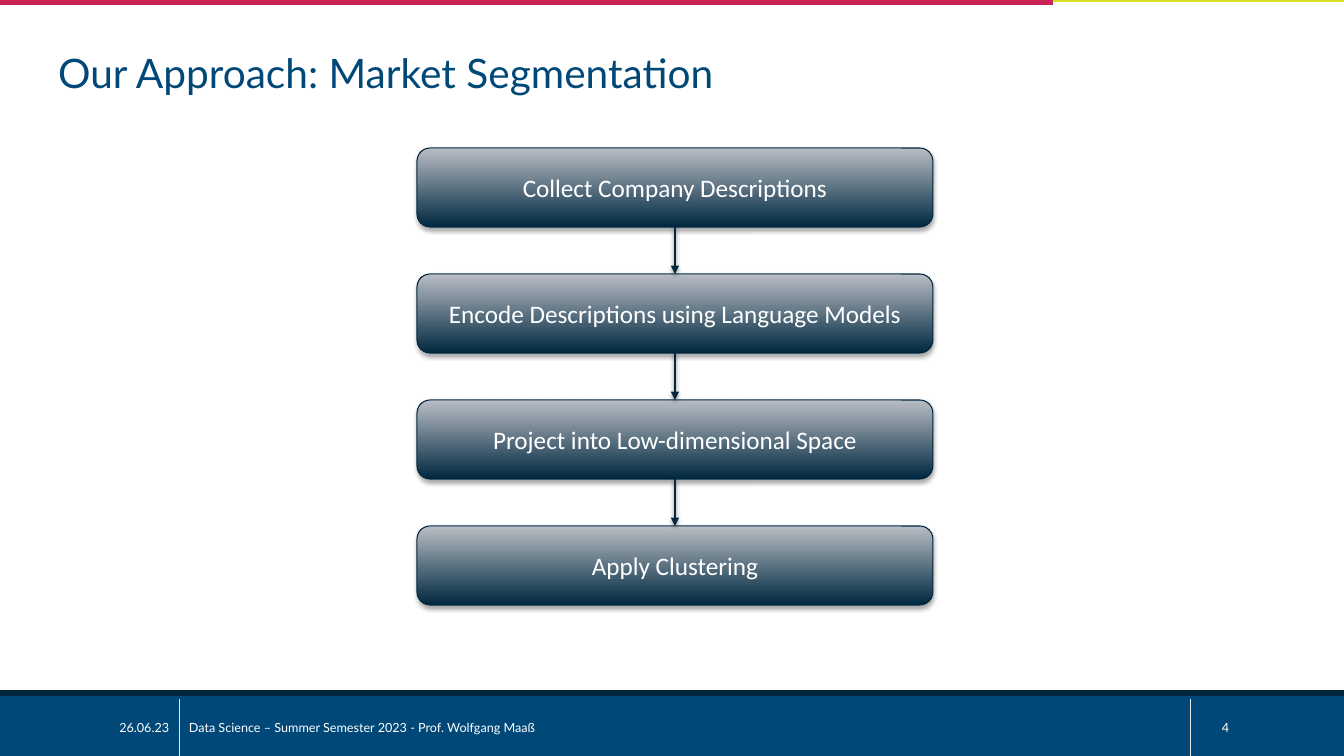
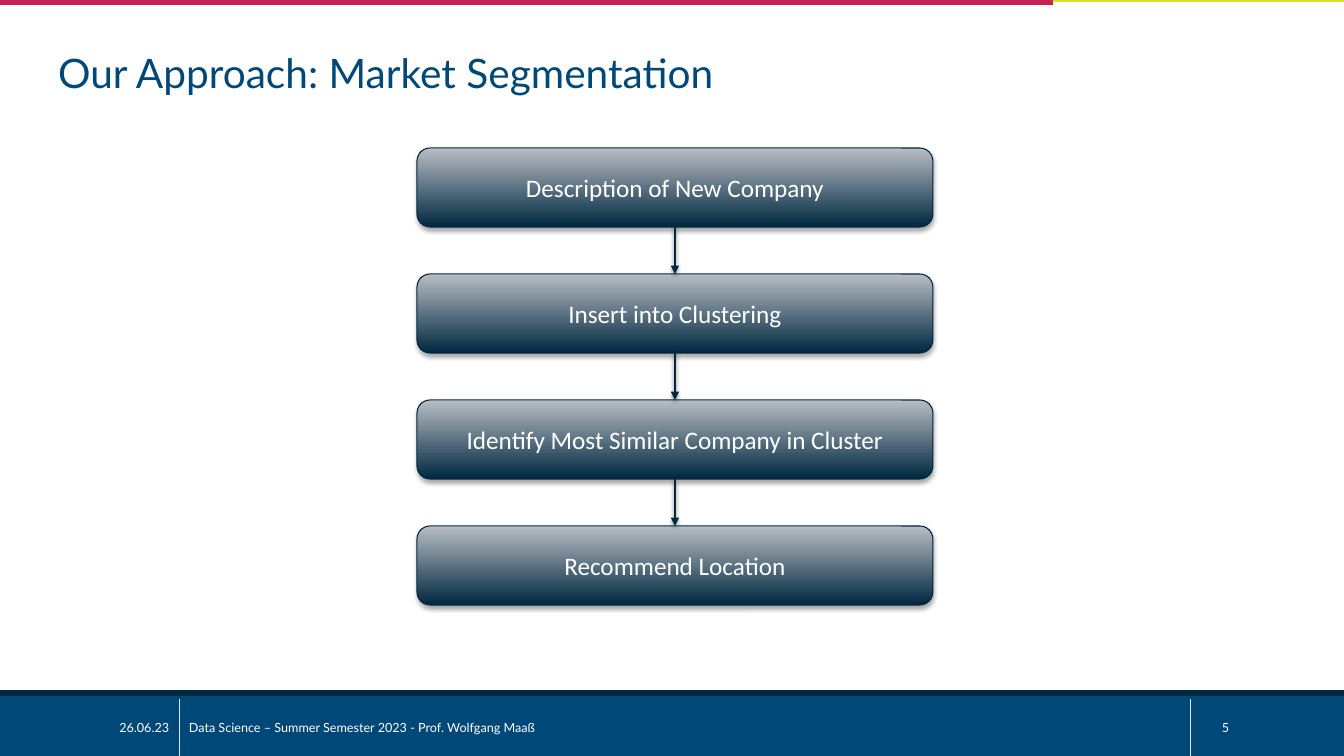
from dataclasses import dataclass

from lxml import etree
from pptx import Presentation
from pptx import util as u
from pptx.dml.color import RGBColor
from pptx.enum import shapes, text
from pptx.oxml import ns

EMU_PER_PX = 914400 / 100.8
SLIDE_W, SLIDE_H = 1344, 756


def px(n):
    return u.Emu(round(n * EMU_PER_PX))


@dataclass(frozen=True)
class Theme:
    # Colours
    blue: str = "004877"
    navy: str = "01283F"
    red: str = "C82254"
    lime: str = "D7DF23"
    rule: str = "E6E6E6"
    white: str = "FFFFFF"
    box_dark: str = "002840"
    box_light: str = "B9BDC4"
    box_line: str = "00273F"
    # Type
    head_font: str = "Lato"
    box_font: str = "Calibri"
    title_pt: int = 29
    box_pt: int = 18
    footer_pt: int = 9


class Deck:
    FOOTER = "Data Science – Summer Semester 2023 - Prof. Wolfgang Maaß"
    DATE = "26.06.23"

    def __init__(self, theme):
        self.theme = theme
        self.prs = Presentation()
        self.prs.slide_width, self.prs.slide_height = px(SLIDE_W), px(SLIDE_H)
        self.slide = None

    def add_slide(self, title, number):
        self.slide = self.prs.slides.add_slide(self.prs.slide_layouts[5])
        self.frame(number)
        self.title(title)

    def frame(self, number):
        t = self.theme
        # Footer and top bands
        self.band(0, 690, SLIDE_W, 66, t.blue)
        self.band(0, 690, SLIDE_W, 6, t.navy)
        self.band(0, 0, 1053, 5, t.red)
        self.band(1053, 0, SLIDE_W - 1053, 2, t.lime)
        # Footer dividers and text
        for x in (179, 1190):
            self.line(x, 699, x, SLIDE_H, t.rule, 0.5)
        self.footer_text(self.DATE, 35, 144, text.PP_ALIGN.RIGHT)
        self.footer_text(self.FOOTER, 179, 991)
        self.footer_text(str(number), 1212, 132)

    def title(self, words):
        t = self.theme
        sp = self.slide.shapes.title
        sp.left, sp.top, sp.width, sp.height = map(px, (48, 43, 995, 76))
        self.set_text(sp, words, t.head_font, t.title_pt, t.blue,
                      anchor=text.MSO_ANCHOR.TOP)

    def set_text(self, sp, words, font, size, color,
                 align=text.PP_ALIGN.LEFT, anchor=text.MSO_ANCHOR.MIDDLE):
        tf = sp.text_frame
        tf.text = words
        tf.word_wrap = True
        tf.auto_size = text.MSO_AUTO_SIZE.NONE
        tf.vertical_anchor = anchor
        p = tf.paragraphs[0]
        p.alignment = align
        f = p.runs[0].font
        f.name, f.size = font, u.Pt(size)
        f.color.rgb = RGBColor.from_string(color)

    def footer_text(self, words, x, w, align=text.PP_ALIGN.LEFT):
        t = self.theme
        sp = self.slide.shapes.add_textbox(px(x), px(708), px(w), px(40))
        self.set_text(sp, words, t.head_font, t.footer_pt, t.white, align)

    def band(self, x, y, w, h, color):
        sp = self.slide.shapes.add_shape(
            shapes.MSO_SHAPE.RECTANGLE, px(x), px(y), px(w), px(h))
        sp.shadow.inherit = False
        sp.fill.solid()
        sp.fill.fore_color.rgb = RGBColor.from_string(color)
        sp.line.fill.background()

    def box(self, words, x, y, w, h):
        t = self.theme
        sp = self.slide.shapes.add_shape(
            shapes.MSO_SHAPE.ROUNDED_RECTANGLE, px(x), px(y), px(w), px(h))
        sp.fill.gradient()
        sp.fill.gradient_angle = 90
        for stop, color in zip(sp.fill.gradient_stops, (t.box_dark, t.box_light)):
            stop.color.rgb = RGBColor.from_string(color)
        sp.line.color.rgb = RGBColor.from_string(t.box_line)
        sp.line.width = u.Pt(0.75)
        self.effects(sp, 35, 1.8)
        self.set_text(sp, words, t.box_font, t.box_pt, t.white, text.PP_ALIGN.CENTER)
        return sp

    def line(self, x1, y1, x2, y2, color, width):
        c = self.slide.shapes.add_connector(
            shapes.MSO_CONNECTOR.STRAIGHT, px(x1), px(y1), px(x2), px(y2))
        c.line.color.rgb = RGBColor.from_string(color)
        c.line.width = u.Pt(width)
        self.effects(c)
        return c

    def arrow(self, upper, lower):
        c = self.line(0, 0, 0, 0, self.theme.navy, 2)
        c.begin_connect(upper, 2)
        c.end_connect(lower, 0)
        ln = c._element.spPr.find(ns.qn("a:ln"))
        etree.SubElement(ln, ns.qn("a:tailEnd"), type="triangle")
        self.effects(c, 38, 1.6)

    def effects(self, sp, opacity=0, distance=0):
        """Replace the style's shadow by none, or by a soft one straight below."""
        sp_pr = sp._element.spPr
        for old in sp_pr.findall(ns.qn("a:effectLst")):
            sp_pr.remove(old)
        effect_list = etree.SubElement(sp_pr, ns.qn("a:effectLst"))
        if opacity:
            shadow = etree.SubElement(
                effect_list, ns.qn("a:outerShdw"), blurRad=str(u.Pt(3.1)),
                dist=str(u.Pt(distance)), dir="5400000", rotWithShape="0")
            color = etree.SubElement(shadow, ns.qn("a:srgbClr"), val="000000")
            etree.SubElement(color, ns.qn("a:alpha"), val=str(opacity * 1000))

    def flow(self, steps, x=417, y=148, w=516, h=79, pitch=126):
        boxes = [self.box(step, x, y + i * pitch, w, h)
                 for i, step in enumerate(steps)]
        for upper, lower in zip(boxes, boxes[1:]):
            self.arrow(upper, lower)


FLOWS = [
    ("Collect Company Descriptions",
     "Encode Descriptions using Language Models",
     "Project into Low-dimensional Space",
     "Apply Clustering"),
    ("Description of New Company",
     "Insert into Clustering",
     "Identify Most Similar Company in Cluster",
     "Recommend Location"),
]


def main():
    deck = Deck(Theme())
    for number, steps in enumerate(FLOWS, start=4):
        deck.add_slide("Our Approach: Market Segmentation", number)
        deck.flow(steps)
    deck.prs.save("out.pptx")


if __name__ == "__main__":
    main()
